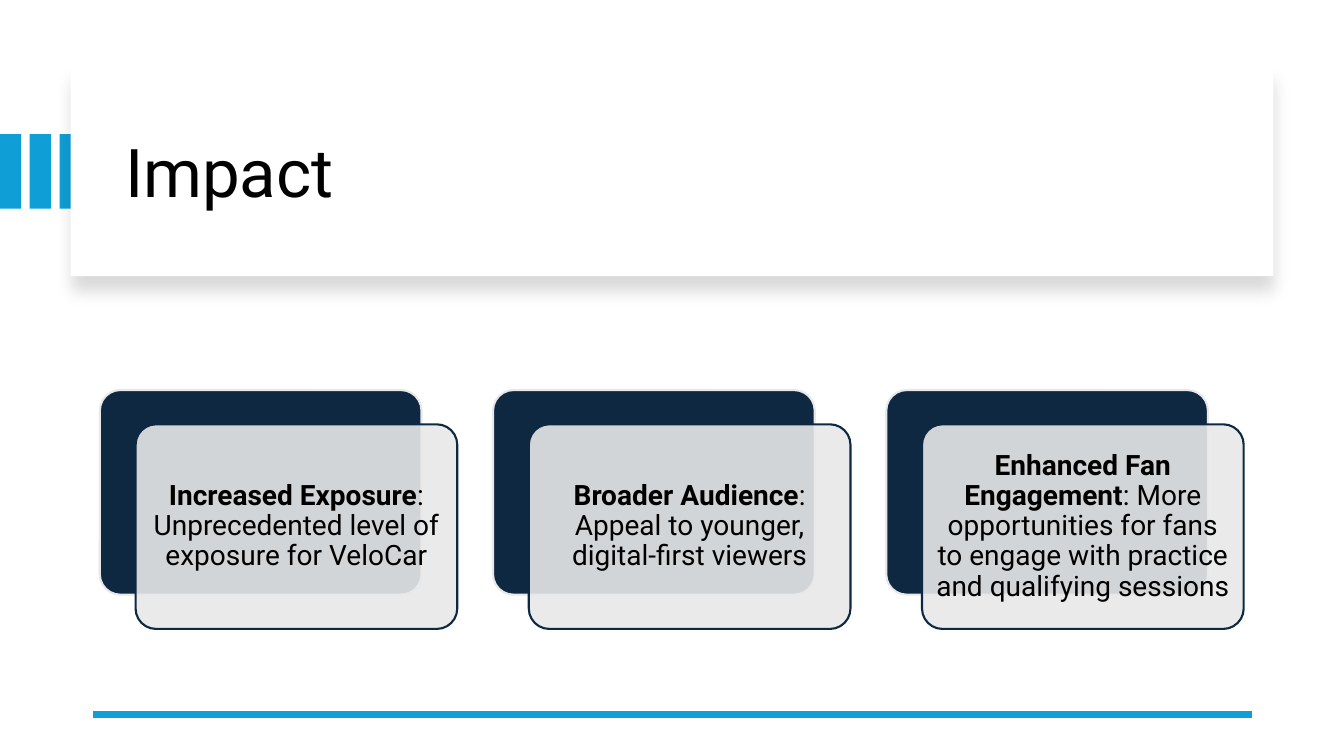
import dataclasses

import lxml.etree
import pptx
import pptx.dml.color
import pptx.enum.shapes
import pptx.enum.text
import pptx.oxml.ns
import pptx.util

qn = pptx.oxml.ns.qn
SHAPE = pptx.enum.shapes.MSO_SHAPE
ALIGN = pptx.enum.text.PP_ALIGN
WIDTH, HEIGHT = 13.33, 7.5


@dataclasses.dataclass(frozen=True)
class Theme:
    font: str = "Roboto"
    accent: str = "0F9ED5"
    navy: str = "0E2841"
    pale: str = "E8E8E8"
    white: str = "FFFFFF"
    ink: str = "000000"
    title_size: float = 48
    body_size: float = 20
    outline: float = 1.5
    rule: float = 4.5


THEME = Theme()

STRIPE_COUNT, STRIPE_PITCH = 3, 0.295
STRIPE_TOP, STRIPE_WIDTH, STRIPE_HEIGHT = 1.33, 0.21, 0.74

CARD_LEFT, CARD_TOP, CARD_PITCH = 0.99, 3.87, 3.9
CARD_WIDTH, CARD_HEIGHT = 3.19, 2.03
FRONT_SHIFT_X, FRONT_SHIFT_Y = 0.355, 0.34

CARDS = [
    ("Increased Exposure", ": Unprecedented level of exposure for VeloCar"),
    ("Broader Audience", ": Appeal to younger, digital-first viewers"),
    ("Enhanced Fan Engagement",
     ": More opportunities for fans to engage with practice and qualifying sessions"),
]


def color(value):
    return pptx.dml.color.RGBColor.from_string(value)


def inches(*lengths):
    return [pptx.util.Inches(length) for length in lengths]


def add_block(shapes, kind, place, fill, line=None, opacity=None):
    box = shapes.add_shape(kind, *inches(*place))
    box.shadow.inherit = False
    box.fill.solid()
    box.fill.fore_color.rgb = color(fill)
    if opacity is not None:
        tint = box.element.spPr.find(qn("a:solidFill"))[0]
        lxml.etree.SubElement(tint, qn("a:alpha"), val=str(opacity * 1000))
    if line:
        box.line.color.rgb = color(line)
        box.line.width = pptx.util.Pt(THEME.outline)
    else:
        box.line.fill.background()
    return box


def write_text(box, spans, size, align, inset):
    """Fill a shape with one paragraph of (text, bold) spans."""
    frame = box.text_frame
    frame.word_wrap = True
    frame.auto_size = pptx.enum.text.MSO_AUTO_SIZE.NONE
    frame.vertical_anchor = pptx.enum.text.MSO_ANCHOR.MIDDLE
    frame.margin_left = frame.margin_right = pptx.util.Inches(inset)
    frame.margin_top = frame.margin_bottom = pptx.util.Inches(inset)
    para = frame.paragraphs[0]
    para.alignment = align
    para.line_spacing = 0.9
    for text, bold in spans:
        span = para.add_run()
        span.text = text
        span.font.name = THEME.font
        span.font.size = pptx.util.Pt(size)
        span.font.bold = bold
        span.font.color.rgb = color(THEME.ink)


def add_stripes(page):
    group = page.shapes.add_group_shape()
    for index in range(STRIPE_COUNT):
        place = (index * STRIPE_PITCH, STRIPE_TOP, STRIPE_WIDTH, STRIPE_HEIGHT)
        add_block(group.shapes, SHAPE.RECTANGLE, place, THEME.accent)


def add_soft_shadow(box, blur, distance, opacity):
    """Cast a shadow straight down; blur and distance are in points."""
    effects = box.element.spPr.find(qn("a:effectLst"))
    shadow = lxml.etree.SubElement(
        effects, qn("a:outerShdw"), blurRad=str(pptx.util.Pt(blur)),
        dist=str(pptx.util.Pt(distance)), dir="5400000", algn="t", rotWithShape="0")
    tint = lxml.etree.SubElement(shadow, qn("a:srgbClr"), val=THEME.ink)
    lxml.etree.SubElement(tint, qn("a:alpha"), val=str(opacity * 1000))


def add_title(page, text):
    panel = add_block(page.shapes, SHAPE.RECTANGLE, (0.7, 0.67, 11.93, 2.07), THEME.white)
    add_soft_shadow(panel, blur=11, distance=10, opacity=15)
    title = page.shapes.title
    title.left, title.top, title.width, title.height = inches(1.14, 0.89, 11.13, 1.7)
    write_text(title, [(text, False)], THEME.title_size, ALIGN.LEFT, inset=0.1)
    panel.element.addnext(title.element)


def add_rule(page, left, right, top):
    rule = page.shapes.add_connector(
        pptx.enum.shapes.MSO_CONNECTOR.STRAIGHT, *inches(right, top, left, top))
    rule.line.color.rgb = color(THEME.accent)
    rule.line.width = pptx.util.Pt(THEME.rule)
    lxml.etree.SubElement(rule.element.spPr, qn("a:effectLst"))


def add_card(shapes, left, heading, detail):
    back_place = (left, CARD_TOP, CARD_WIDTH, CARD_HEIGHT)
    front_place = (left + FRONT_SHIFT_X, CARD_TOP + FRONT_SHIFT_Y, CARD_WIDTH, CARD_HEIGHT)
    back = add_block(shapes, SHAPE.ROUNDED_RECTANGLE, back_place, THEME.navy, THEME.pale)
    front = add_block(shapes, SHAPE.ROUNDED_RECTANGLE, front_place,
                      THEME.pale, THEME.navy, opacity=90)
    for box in (back, front):
        box.adjustments[0] = 0.1
    write_text(front, [(heading, True), (detail, False)],
               THEME.body_size, ALIGN.CENTER, inset=0.08)


def main():
    deck = pptx.Presentation()
    deck.slide_width, deck.slide_height = inches(WIDTH, HEIGHT)
    page = deck.slides.add_slide(deck.slide_layouts[5])
    page.background.fill.solid()
    page.background.fill.fore_color.rgb = color(THEME.white)

    add_stripes(page)
    add_title(page, "Impact")
    add_rule(page, left=0.92, right=12.42, top=7.09)
    cards = page.shapes.add_group_shape()
    for column, (heading, detail) in enumerate(CARDS):
        add_card(cards.shapes, CARD_LEFT + column * CARD_PITCH, heading, detail)

    deck.save("out.pptx")


if __name__ == "__main__":
    main()
